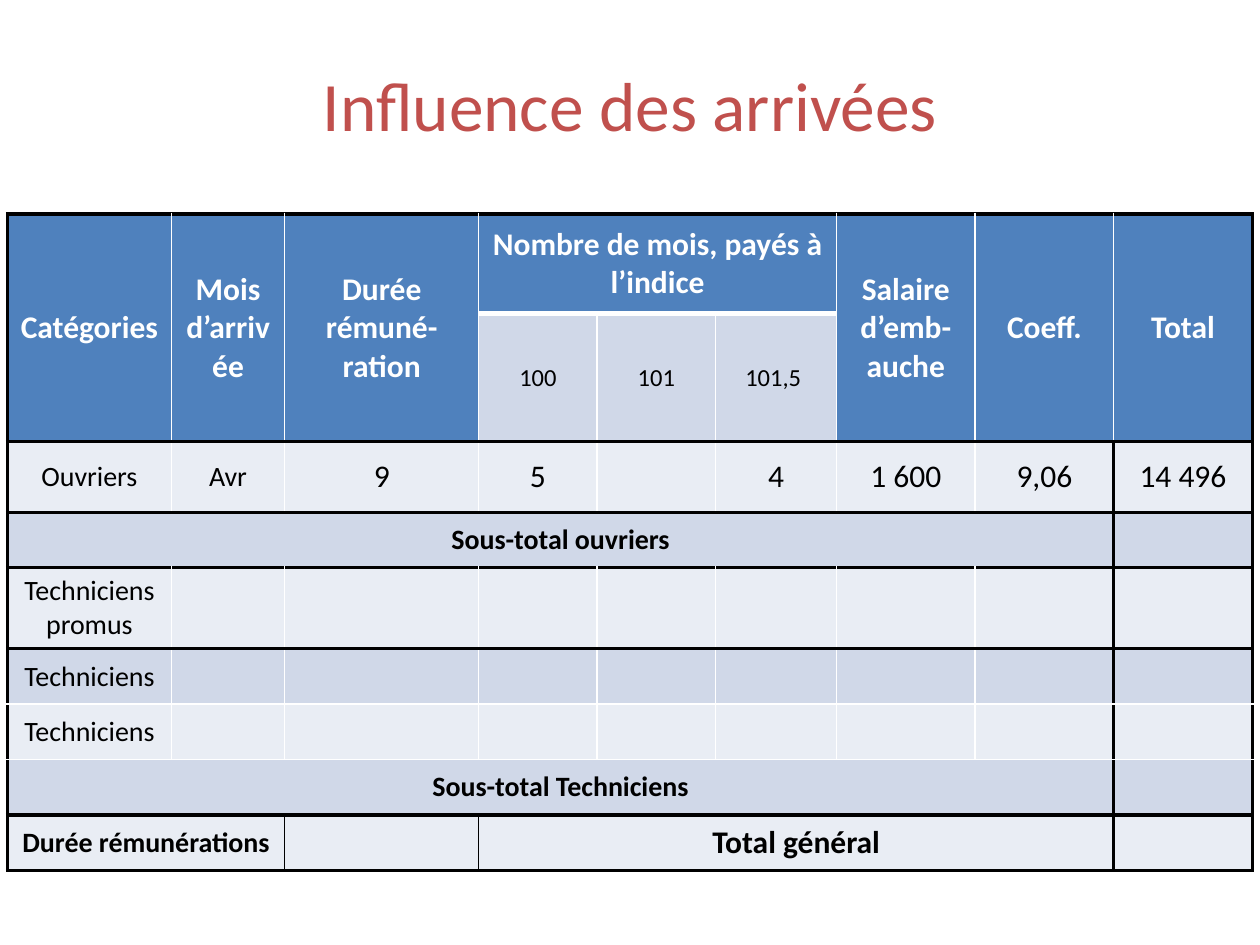
"""Build the slide showing how arrivals influence payroll."""
import lxml.etree
import pptx
import pptx.dml.color
import pptx.enum.text
import pptx.oxml.ns
import pptx.util

Inches = pptx.util.Inches
Pt = pptx.util.Pt
CENTER = pptx.enum.text.PP_ALIGN.CENTER
MIDDLE = pptx.enum.text.MSO_ANCHOR.MIDDLE

BLUE, DARK_BAND, LIGHT_BAND = "4F81BD", "D0D8E8", "E9EDF4"
BLACK, WHITE, RED = "000000", "FFFFFF", "C0504D"
HEAVY, THIN, GRID = (BLACK, 2.25), (BLACK, 1), (WHITE, 1)

COLUMN_WIDTHS = [1.3, 0.9, 1.54, 0.94, 0.94, 0.96, 1.1, 1.1, 1.1]
ROW_HEIGHTS = [0.79, 1.01, 0.56, 0.44, 0.64, 0.44, 0.44, 0.44, 0.44]
ROW_FILLS = [BLUE] + [DARK_BAND, LIGHT_BAND] * 4
ROW_LINES = [HEAVY, (WHITE, 3), HEAVY, HEAVY, HEAVY, HEAVY, GRID, GRID, HEAVY, HEAVY]

HEADER = {"size": Pt(18), "bold": True}
INDEX = {"size": Pt(14), "bold": False}
LABEL = {"size": Pt(16), "bold": False}
VALUE = {"size": Pt(18), "bold": False}
SUBTOTAL = {"size": Pt(16), "bold": True}

MERGES = [((0, column), (1, column)) for column in (0, 1, 2, 6, 7, 8)] + [
    ((0, 3), (0, 5)), ((3, 0), (3, 7)), ((7, 0), (7, 7)),
    ((8, 0), (8, 1)), ((8, 3), (8, 7)),
]

ROWS = [
    (HEADER, {0: "Catégories", 1: "Mois d’arrivée", 2: "Durée rémuné-ration",
              3: "Nombre de mois, payés à l’indice", 6: "Salaire d’emb-auche",
              7: "Coeff.", 8: "Total"}),
    (INDEX, {3: "100", 4: "101", 5: "101,5 "}),
    (VALUE, {0: "Ouvriers", 1: "Avr", 2: "9", 3: "5", 5: "4",
             6: "1 600", 7: "9,06", 8: "14 496"}),
    (SUBTOTAL, {0: "Sous-total ouvriers"}),
    (LABEL, {0: "Techniciens promus"}),
    (LABEL, {0: "Techniciens"}),
    (LABEL, {0: "Techniciens"}),
    (SUBTOTAL, {0: "Sous-total Techniciens"}),
    (SUBTOTAL, {0: "Durée rémunérations", 3: "Total général"}),
]
FORMAT_EXCEPTIONS = {(2, 0): LABEL, (2, 1): LABEL, (8, 3): HEADER}


def make_color(value):
    """Return the colour for a hex string."""
    return pptx.dml.color.RGBColor.from_string(value)


def write_text(text_frame, text, color, font_format):
    """Write one centred paragraph with the given font format."""
    paragraph = text_frame.paragraphs[0]
    paragraph.alignment = CENTER
    run = paragraph.add_run()
    run.text = text
    run.font.name = "Calibri"
    run.font.color.rgb = make_color(color)
    for name, value in font_format.items():
        setattr(run.font, name, value)


def column_line(row, boundary):
    """Return the colour and width of a vertical line in a row."""
    if boundary in (0, len(COLUMN_WIDTHS)) or (boundary == 8 and row >= 2):
        return HEAVY
    return THIN if row == 8 else GRID


def draw_borders(cell, row, column):
    """Add the four border lines of a cell, ahead of its fill."""
    width = cell.span_width if cell.is_merge_origin else 1
    height = cell.span_height if cell.is_merge_origin else 1
    borders = [
        ("a:lnL", column_line(row, column)),
        ("a:lnR", column_line(row, column + width)),
        ("a:lnT", ROW_LINES[row]),
        ("a:lnB", ROW_LINES[row + height]),
    ]
    qualify = pptx.oxml.ns.qn
    properties = cell._tc.get_or_add_tcPr()
    for position, (tag, (color, points)) in enumerate(borders):
        line = lxml.etree.Element(qualify(tag), w=str(Pt(points)))
        fill = lxml.etree.SubElement(line, qualify("a:solidFill"))
        lxml.etree.SubElement(fill, qualify("a:srgbClr"), val=color)
        properties.insert(position, line)


def add_title(slide, text):
    """Place and format the slide title."""
    title = slide.shapes.title
    title.left, title.top = Inches(0.5), Inches(0.44)
    title.width, title.height = Inches(9), Inches(0.77)
    title.text_frame.auto_size = pptx.enum.text.MSO_AUTO_SIZE.NONE
    title.text_frame.vertical_anchor = MIDDLE
    write_text(title.text_frame, text, RED, {"size": Pt(39.6)})


def add_payroll_table(slide):
    """Add the table of arrivals with its merges, fills and borders."""
    table = slide.shapes.add_table(
        len(ROW_HEIGHTS), len(COLUMN_WIDTHS), Inches(0.06), Inches(1.7),
        Inches(sum(COLUMN_WIDTHS)), Inches(sum(ROW_HEIGHTS))).table
    for column, width in zip(table.columns, COLUMN_WIDTHS):
        column.width = Inches(width)
    for row, height in zip(table.rows, ROW_HEIGHTS):
        row.height = Inches(height)
    for first, last in MERGES:
        table.cell(*first).merge(table.cell(*last))
    for row, (row_format, texts) in enumerate(ROWS):
        for column in range(len(COLUMN_WIDTHS)):
            cell = table.cell(row, column)
            cell.vertical_anchor = MIDDLE
            cell.fill.solid()
            cell.fill.fore_color.rgb = make_color(ROW_FILLS[row])
            draw_borders(cell, row, column)
            if column in texts:
                font_format = FORMAT_EXCEPTIONS.get((row, column), row_format)
                color = WHITE if row == 0 else BLACK
                write_text(cell.text_frame, texts[column], color, font_format)


def main():
    """Build and save the presentation."""
    presentation = pptx.Presentation()
    presentation.slide_width = Inches(10)
    presentation.slide_height = Inches(7.5)
    slide = presentation.slides.add_slide(presentation.slide_layouts[5])
    add_title(slide, "Influence des arrivées")
    add_payroll_table(slide)
    presentation.save("out.pptx")


if __name__ == "__main__":
    main()
